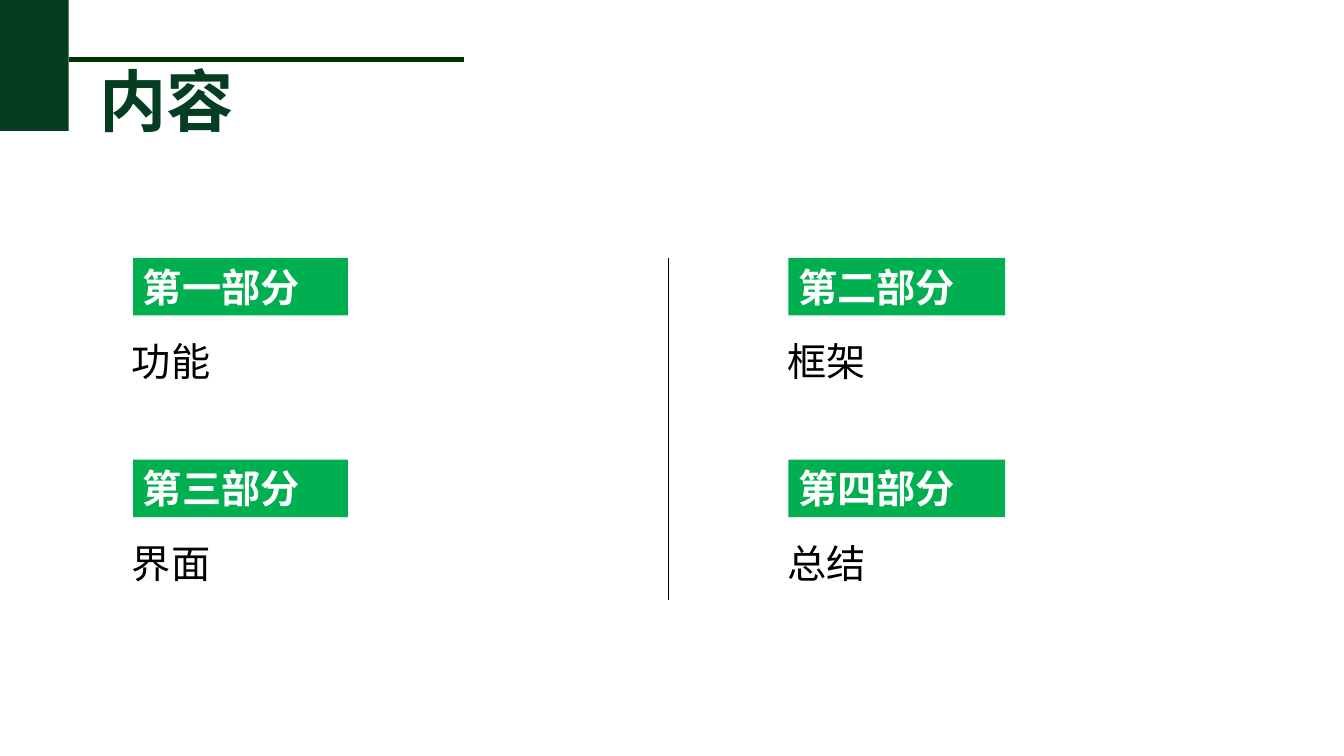
from pptx import Presentation
from pptx.dml.color import RGBColor
from pptx.enum.shapes import MSO_CONNECTOR, MSO_SHAPE
from pptx.enum.text import MSO_ANCHOR, MSO_AUTO_SIZE, PP_ALIGN
from pptx.oxml.ns import qn
from pptx.util import Inches, Pt
from lxml import etree

RECTANGLE = MSO_SHAPE.RECTANGLE
STRAIGHT = MSO_CONNECTOR.STRAIGHT
TOP = MSO_ANCHOR.TOP
LEFT = PP_ALIGN.LEFT
GROW = MSO_AUTO_SIZE.SHAPE_TO_FIT_TEXT

COLORS = {
    "dark": "053D20",
    "rule": "003300",
    "label": "00B050",
    "white": "FFFFFF",
    "black": "000000",
}
FONT = "Calibri"

COLUMN_LEFT, COLUMN_STEP = 1.32, 6.5
ROW_TOP, ROW_STEP = 2.56, 2
LABEL_WIDTHS = (2.13, 2.15)
LABEL_HEIGHT = 0.57
TOPIC_INDENT, TOPIC_DROP = -0.11, 0.6

SECTIONS = [
    [("第一部分", "功能"), ("第二部分", "框架")],
    [("第三部分", "界面"), ("第四部分", "总结")],
]

deck = Presentation()
deck.slide_width, deck.slide_height = Inches(13.33), Inches(7.5)
page = deck.slides.add_slide(deck.slide_layouts[6])


def add_text(text, left, top, width, height, *, size=28, color="black",
             fill=None, bold=False, wrap=True, line_spacing=None):
    """Add a one-line text box, or a filled rectangle when fill is given."""
    area = [Inches(length) for length in (left, top, width, height)]
    if fill:
        box = page.shapes.add_shape(RECTANGLE, *area)
        box.shadow.inherit = False
        box.fill.solid()
        box.fill.fore_color.rgb = RGBColor.from_string(COLORS[fill])
        box.line.fill.background()
    else:
        box = page.shapes.add_textbox(*area)
    if not text:
        return
    frame = box.text_frame
    frame.word_wrap = wrap
    frame.auto_size = GROW
    frame.vertical_anchor = TOP
    para = frame.paragraphs[0]
    para.alignment = LEFT
    para.line_spacing = line_spacing
    span = para.add_run()
    span.text = text
    span.font.name = FONT
    span.font.size = Pt(size)
    span.font.bold = bold
    span.font.color.rgb = RGBColor.from_string(COLORS[color])


def add_line(start, end, color, weight):
    line = page.shapes.add_connector(
        STRAIGHT, *[Inches(length) for length in (*start, *end)])
    line.line.color.rgb = RGBColor.from_string(COLORS[color])
    line.line.width = Pt(weight)
    etree.SubElement(line._element.spPr, qn("a:effectLst"))


# Heading
add_text("", 0, 0, 0.68, 1.3, fill="dark")
add_line((0.68, 0.59), (4.6, 0.59), "rule", 3)
add_text("内容", 0.89, 0.54, 1.53, 0.96, size=48, color="dark", bold=True, wrap=False)

# Sections in two columns
for row, sections in enumerate(SECTIONS):
    top = ROW_TOP + row * ROW_STEP
    for column, (label, topic) in enumerate(sections):
        left = COLUMN_LEFT + column * COLUMN_STEP
        add_text(label, left, top, LABEL_WIDTHS[column], LABEL_HEIGHT,
                 fill="label", color="white", bold=True)
        add_text(topic, left + TOPIC_INDENT, top + TOPIC_DROP, 4.54, 0.71,
                 line_spacing=1.3)

# Divider between the columns
add_line((6.63, ROW_TOP), (6.63, 5.95), "black", 1)

deck.save("out.pptx")
